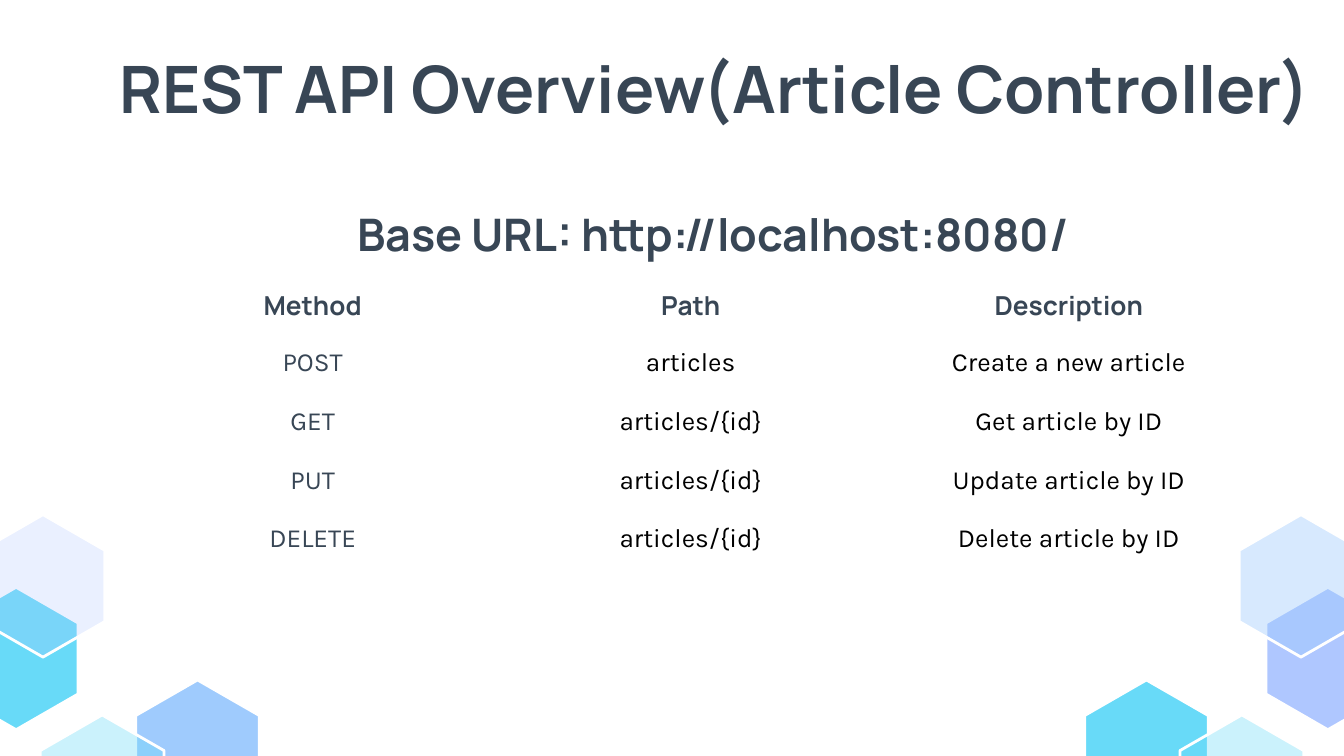
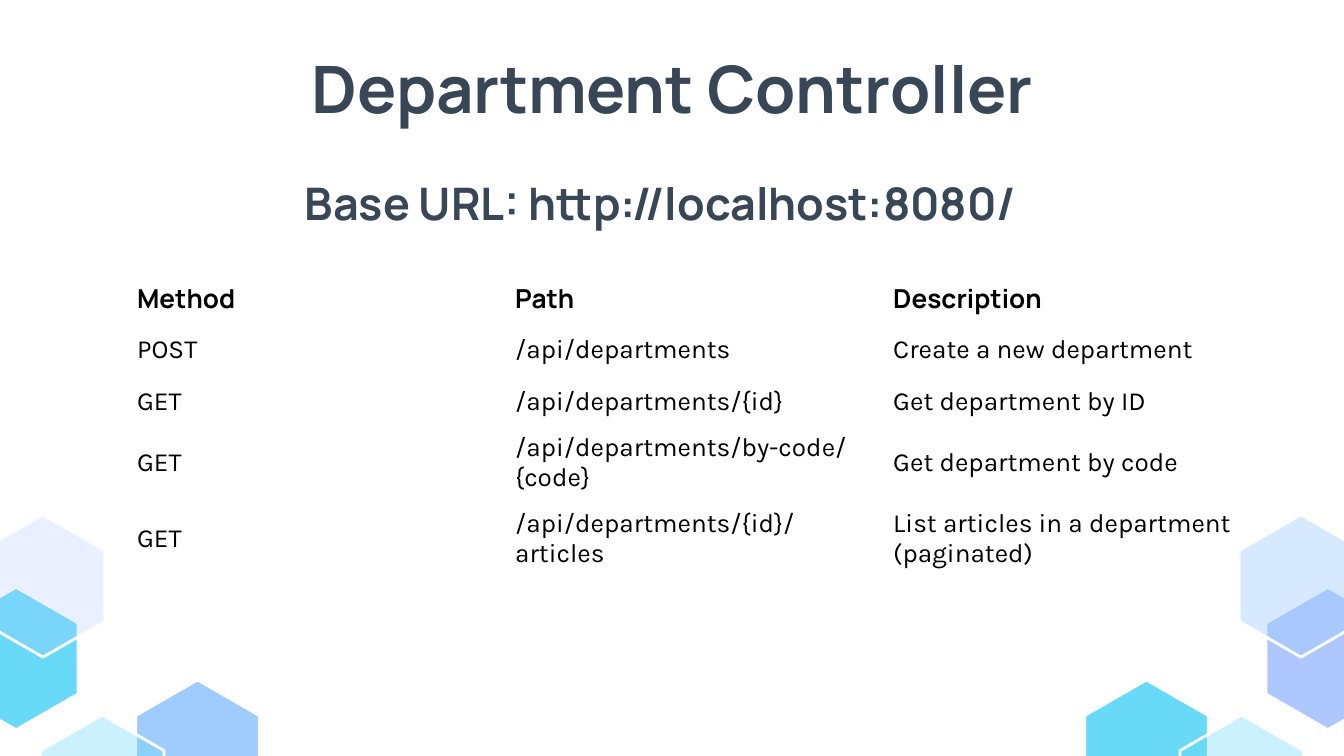
from lxml import etree
from pptx import Presentation
from pptx.dml.color import RGBColor
from pptx.enum.text import MSO_ANCHOR, PP_ALIGN
from pptx.oxml.ns import qn
from pptx.util import Inches, Pt

LEFT, CENTER = PP_ALIGN.LEFT, PP_ALIGN.CENTER
TOP, MIDDLE, BOTTOM = MSO_ANCHOR.TOP, MSO_ANCHOR.MIDDLE, MSO_ANCHOR.BOTTOM

COLORS = {
    "slate": "384655",
    "black": "000000",
    "white": "FFFFFF",
    "cyan": "68DAF8",
    "sky": "9FCBFD",
    "lavender": "AFC7FF",
}
HEADING_FONT, BODY_FONT = "Manrope", "Karla"
SLIDE_WIDTH = 10
SLIDE_HEIGHT = SLIDE_WIDTH * 9 / 16
HEX_WIDTH, HEX_HEIGHT = 0.92, 1.06
BASE_URL = "Base URL: http://localhost:8080/"

# Left edge, top, (colour, opacity) on the left side, then on the mirrored right side
HEXAGONS = [
    (1.01, 5.06, ("sky", 100), ("cyan", 100)),
    (0.3, 5.32, ("cyan", 34), ("cyan", 34)),
    (-0.34, 4.37, ("cyan", 100), ("lavender", 100)),
    (-0.14, 3.83, ("lavender", 25), ("sky", 41)),
]

HEADER = ["Method", "Path", "Description"]
ARTICLE_ROWS = [
    HEADER,
    ["POST", "articles", "Create a new article"],
    ["GET", "articles/{id}", "Get article by ID"],
    ["PUT", "articles/{id}", "Update article by ID"],
    ["DELETE", "articles/{id}", "Delete article by ID"],
]
DEPARTMENT_ROWS = [
    HEADER,
    ["POST", "/api/departments", "Create a new department"],
    ["GET", "/api/departments/{id}", "Get department by ID"],
    ["GET", "/api/departments/by-code/{code}", "Get department by code"],
    ["GET", "/api/departments/{id}/articles", "List articles in a department (paginated)"],
]
# Rows of height 0 grow to fit their text
ROW_HEIGHTS = [0, 0.45, 0, 0, 0]


def rgb(name):
    return RGBColor.from_string(COLORS[name])


def style_para(para, font, size, color, bold, align):
    para.alignment = align
    for span in para.runs:
        span.font.name = font
        span.font.size = Pt(size)
        span.font.bold = bold
        span.font.color.rgb = rgb(color)


def add_hexagon(page, left, top, color, opacity):
    corners = [(0.5, 0), (1, 0.25), (1, 0.75), (0.5, 1), (0, 0.75), (0, 0.25)]
    points = [(Inches(left + x * HEX_WIDTH), Inches(top + y * HEX_HEIGHT))
              for x, y in corners]
    builder = page.shapes.build_freeform(*points[0])
    builder.add_line_segments(points[1:], close=True)
    hexagon = builder.convert_to_shape()
    hexagon.shadow.inherit = False
    hexagon.fill.solid()
    hexagon.fill.fore_color.rgb = rgb(color)
    hexagon.line.color.rgb = rgb("white")
    hexagon.line.width = Pt(1.5)
    if opacity < 100:
        fill_color = hexagon._element.spPr.find(qn("a:solidFill"))[0]
        etree.SubElement(fill_color, qn("a:alpha")).set("val", str(opacity * 1000))


def add_hexagon_corners(page):
    for left, top, left_fill, right_fill in HEXAGONS:
        add_hexagon(page, left, top, *left_fill)
        add_hexagon(page, SLIDE_WIDTH - HEX_WIDTH - left, top, *right_fill)


def add_heading(page, text, place, size, anchor=TOP, line_spacing=1.0):
    box = page.shapes.add_textbox(*map(Inches, place))
    frame = box.text_frame
    frame.word_wrap = True
    frame.vertical_anchor = anchor
    frame.margin_left = frame.margin_right = Inches(0.1)
    frame.margin_top = frame.margin_bottom = Inches(0.1)
    frame.text = text
    para = frame.paragraphs[0]
    para.line_spacing = line_spacing
    style_para(para, HEADING_FONT, size, "slate", True, CENTER)


def clear_cell(cell):
    """Remove the borders and the fill that the table style gives."""
    properties = cell._tc.get_or_add_tcPr()
    for side in ("a:lnL", "a:lnR", "a:lnT", "a:lnB"):
        border = etree.SubElement(properties, qn(side))
        etree.SubElement(border, qn("a:noFill"))
    cell.fill.background()


def add_endpoint_table(page, rows, height, align, label_color, margin):
    """Add the table; label_color is for the header and the method column."""
    frame = page.shapes.add_table(len(rows), len(HEADER), Inches(0.92), Inches(2.04),
                                  Inches(8.44), Inches(height))
    table = frame.table
    table.first_row = table.horz_banding = False
    for row, row_height in zip(table.rows, ROW_HEIGHTS):
        row.height = Inches(row_height)
    frame.height = Inches(height)
    for r, texts in enumerate(rows):
        for c, text in enumerate(texts):
            cell = table.cell(r, c)
            clear_cell(cell)
            cell.vertical_anchor = MIDDLE
            cell.margin_left = cell.margin_right = Inches(0.1)
            cell.margin_top = cell.margin_bottom = Inches(margin)
            cell.text_frame.text = text
            is_header = r == 0
            color = label_color if is_header or c == 0 else "black"
            style_para(cell.text_frame.paragraphs[0],
                       HEADING_FONT if is_header else BODY_FONT,
                       14, color, is_header, align)


def add_controller_page(deck, title, title_width, url_place, **table_options):
    page = deck.slides.add_slide(deck.slide_layouts[6])
    add_hexagon_corners(page)
    add_heading(page, title, (0.79, 0.26, title_width, 0.63), 35)
    add_heading(page, BASE_URL, url_place, 24, BOTTOM, 1.15)
    add_endpoint_table(page, **table_options)


def main():
    deck = Presentation()
    deck.slide_width = Inches(SLIDE_WIDTH)
    deck.slide_height = Inches(SLIDE_HEIGHT)
    add_controller_page(
        deck, "REST API Overview(Article Controller)", 9.07, (1.09, 1.3, 8.43, 0.74),
        rows=ARTICLE_ROWS, height=2.19, align=CENTER, label_color="slate", margin=0.1)
    add_controller_page(
        deck, "Department Controller", 8.43, (0.62, 1.11, 8.59, 0.7),
        rows=DEPARTMENT_ROWS, height=2.25, align=LEFT, label_color="black", margin=0.05)
    deck.save("out.pptx")


if __name__ == "__main__":
    main()
